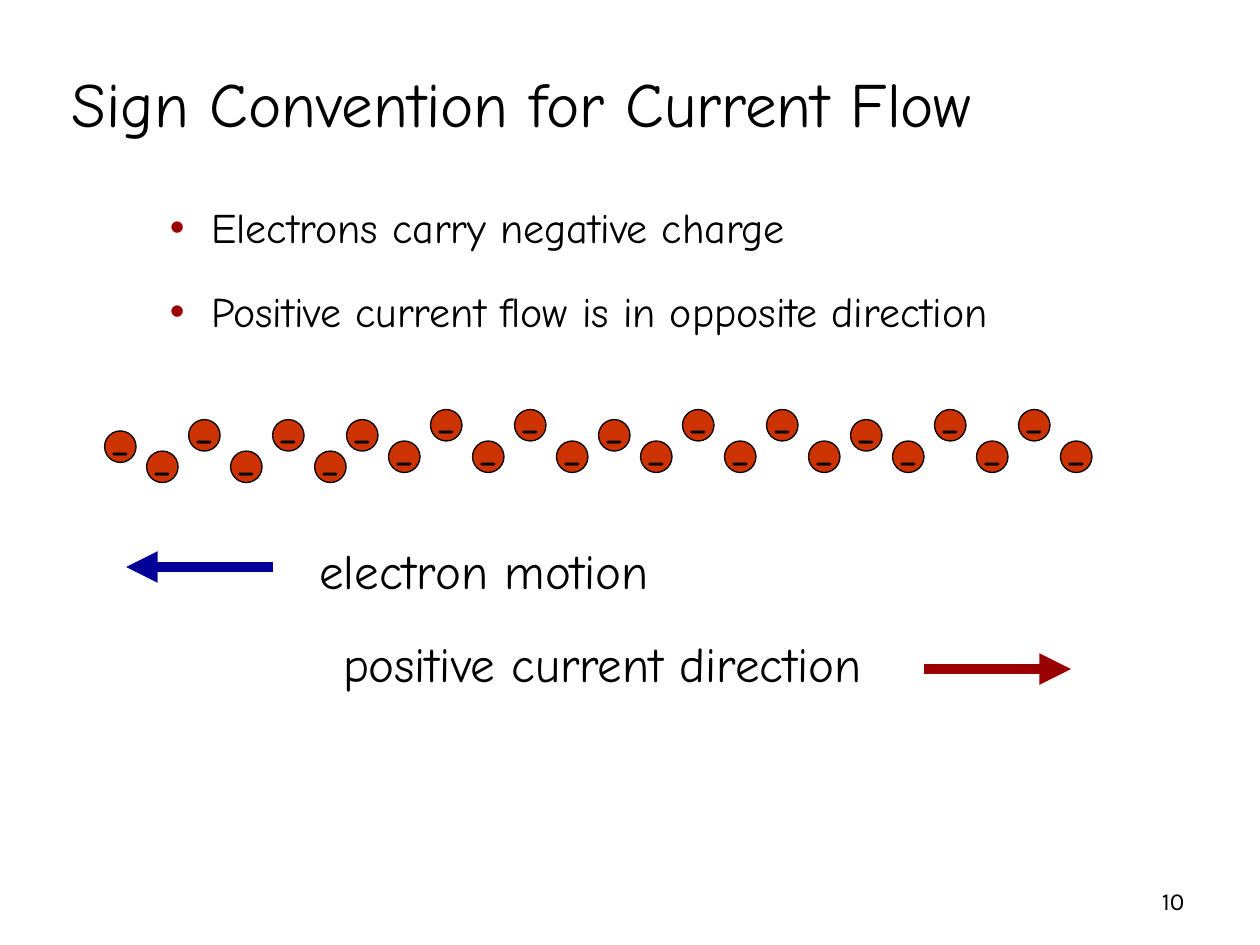
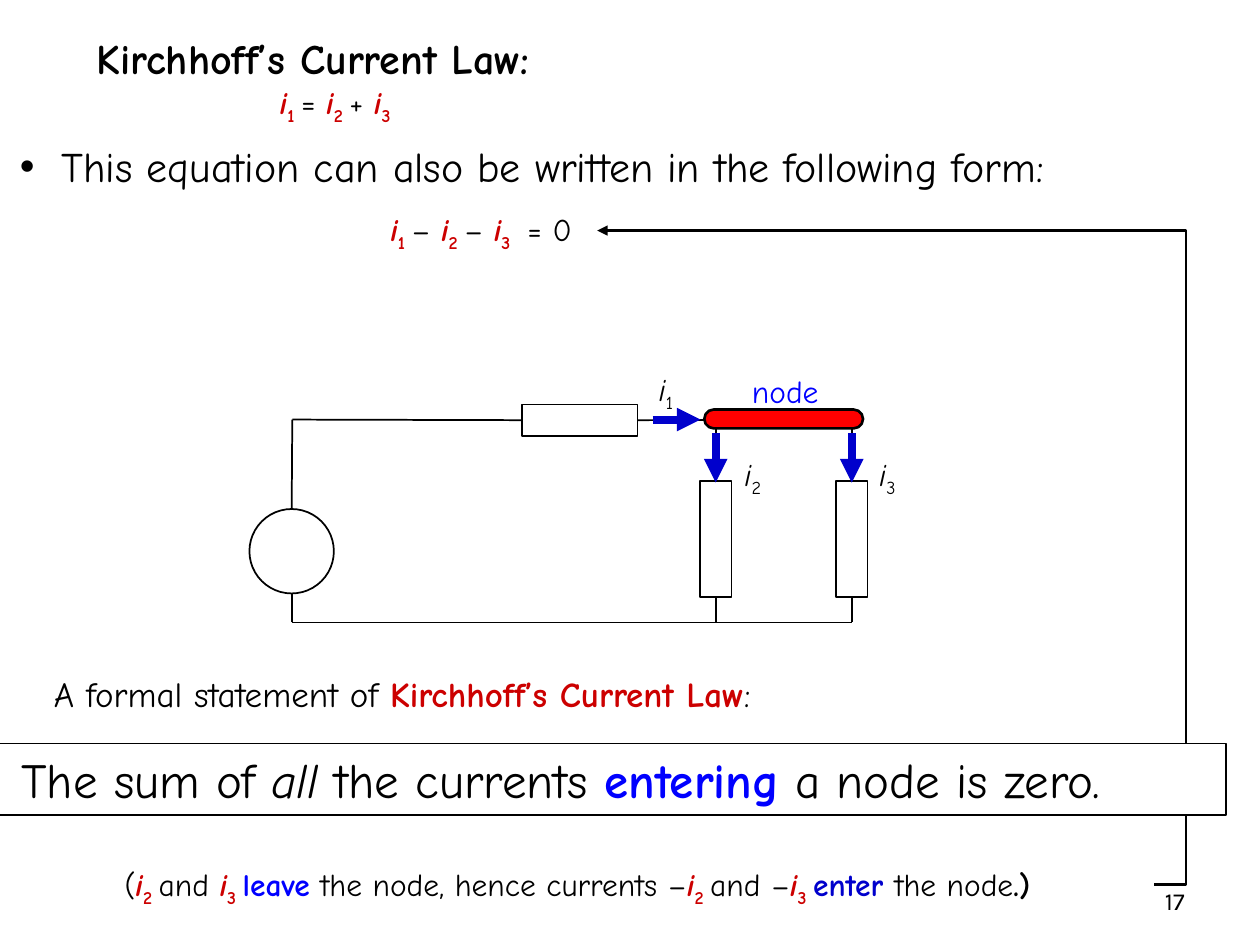
from itertools import chain

from lxml.etree import SubElement
from pptx import Presentation
from pptx.dml.color import RGBColor
from pptx.enum.shapes import MSO_CONNECTOR, MSO_SHAPE
from pptx.enum.text import MSO_ANCHOR, PP_ALIGN
from pptx.oxml.ns import qn
from pptx.util import Inches, Pt

# Shared look
COLORS = {
    "black": "000000",
    "white": "FFFFFF",
    "electron": "CC3300",
    "motion": "000099",
    "flow": "990000",
    "current": "CC0000",
    "node": "FF0000",
    "arrow": "0000CC",
    "emphasis": "0000FF",
}
BODY_FONT = "Comic Neue"
NUMBER_FONT = "Karla"
BULLET_INDENT = 0.33
TOP, LEFT, BOTTOM, RIGHT = range(4)


def rgb(name):
    return RGBColor.from_string(COLORS[name])


# Text
def span(text, color="black", bold=False, italic=False, subscript=False):
    return text, color, bold, italic, subscript


def current(index, after=" ", color="current", bold=True):
    """The symbol i with its subscript."""
    return [span("i", color, bold, italic=True),
            span(index + after, color, bold, subscript=True)]


def write(paragraph, spans, size, font=BODY_FONT, align=PP_ALIGN.LEFT):
    paragraph.alignment = align
    for text, color, bold, italic, subscript in spans:
        run = paragraph.add_run()
        run.text = text
        run.font.name, run.font.size = font, Pt(size)
        run.font.bold, run.font.italic = bold, italic
        run.font.color.rgb = rgb(color)
        if subscript:
            run.font._element.set("baseline", "-25000")


def add_text(page, left, top, width, height, spans, size,
             anchor=MSO_ANCHOR.TOP, **style):
    box = page.shapes.add_textbox(
        Inches(left), Inches(top), Inches(width), Inches(height))
    frame = box.text_frame
    frame.word_wrap = True
    frame.vertical_anchor = anchor
    write(frame.paragraphs[0], spans, size, **style)
    return box


def add_bullet(page, left, top, width, text, color):
    box = add_text(page, left, top, width, 0.5, [span(text)], 24)
    properties = box.text_frame.paragraphs[0]._p.get_or_add_pPr()
    properties.set("marL", str(Inches(BULLET_INDENT)))
    properties.set("indent", str(-Inches(BULLET_INDENT)))
    bullet_color = SubElement(properties, qn("a:buClr"))
    SubElement(bullet_color, qn("a:srgbClr"), val=COLORS[color])
    SubElement(properties, qn("a:buFont"), typeface="Arial")
    SubElement(properties, qn("a:buChar"), char="•")


def add_page(deck, number):
    page = deck.slides.add_slide(deck.slide_layouts[6])
    add_text(page, 7.17, 6.95, 2.33, 0.4, [span(number)], 14,
             anchor=MSO_ANCHOR.MIDDLE, font=NUMBER_FONT, align=PP_ALIGN.RIGHT)
    return page


# Shapes and lines
def add_figure(page, kind, left, top, width, height, fill="white", line=1):
    figure = page.shapes.add_shape(
        kind, Inches(left), Inches(top), Inches(width), Inches(height))
    figure.shadow.inherit = False
    figure.fill.solid()
    figure.fill.fore_color.rgb = rgb(fill)
    figure.line.color.rgb = rgb("black")
    figure.line.width = Pt(line)
    return figure


def add_line(page, start, end, color="black", width=1, arrow=False,
             kind=MSO_CONNECTOR.STRAIGHT):
    line = page.shapes.add_connector(
        kind, *(Inches(value) for value in (*start, *end)))
    line.line.color.rgb = rgb(color)
    line.line.width = Pt(width)
    if arrow:
        SubElement(line.line._get_or_add_ln(), qn("a:tailEnd"), type="triangle")
    SubElement(line._element.spPr, qn("a:effectLst"))
    return line


def add_electron(page, left, top):
    electron = add_figure(page, MSO_SHAPE.OVAL, left, top, 0.25, 0.25,
                          "electron", 0.75)
    frame = electron.text_frame
    frame.word_wrap = False
    frame.vertical_anchor = MSO_ANCHOR.MIDDLE
    write(frame.paragraphs[0], [span("-")], 28, align=PP_ALIGN.CENTER)


def add_circuit(page):
    top_rail, bottom_rail = 3.33, 4.94
    source_x, branch_xs = 2.32, (5.68, 6.76)

    # Source and series resistor
    source = add_figure(page, MSO_SHAPE.OVAL, 1.98, 4.04, 0.67, 0.67)
    series = add_figure(page, MSO_SHAPE.RECTANGLE, 4.14, 3.21, 0.92, 0.25)
    add_line(page, (source_x, top_rail), (source_x, 4.04)).end_connect(source, TOP)
    add_line(page, (source_x, bottom_rail), (source_x, 4.71))
    add_line(page, (source_x, top_rail), (4.14, top_rail)).end_connect(series, LEFT)
    add_line(page, (5.06, top_rail), (branch_xs[-1], top_rail)).begin_connect(
        series, RIGHT)
    add_line(page, (source_x, bottom_rail), (branch_xs[-1], bottom_rail))

    # Parallel branches
    for x in branch_xs:
        resistor = add_figure(page, MSO_SHAPE.RECTANGLE, x - 0.125, 3.82, 0.25, 0.92)
        add_line(page, (x, top_rail), (x, 3.82)).end_connect(resistor, TOP)
        add_line(page, (x, bottom_rail), (x, 4.74)).end_connect(resistor, BOTTOM)

    # Node
    node = add_figure(page, MSO_SHAPE.ROUNDED_RECTANGLE, 5.59, 3.25, 1.26, 0.15,
                      "node", 1.5)
    node.adjustments[0] = 0.5
    add_text(page, 5.87, 2.9, 0.76, 0.4, [span("node", "emphasis")], 18)

    # Current arrows with their labels
    arrows = [((5.18, top_rail), (5.56, top_rail))]
    arrows += [((x, 3.44), (x, 3.83)) for x in branch_xs]
    label_places = [(5.13, 2.89), (5.81, 3.56), (6.88, 3.56)]
    for index, ((start, end), place) in enumerate(zip(arrows, label_places), 1):
        add_line(page, start, end, "arrow", 4.5, arrow=True)
        add_text(page, *place, 0.4, 0.4,
                 current(str(index), "", "black", False), 18)


# Slides
def build_sign_convention(deck):
    page = add_page(deck, "10")
    add_text(page, 0.47, 0.46, 8.2, 0.7,
             [span("Sign Convention for Current Flow")], 36,
             anchor=MSO_ANCHOR.MIDDLE)
    add_bullet(page, 1.25, 1.55, 7.36, "Electrons carry negative charge", "flow")
    add_bullet(page, 1.25, 2.22, 7.36,
               "Positive current flow is in opposite direction", "flow")

    # Zigzag row of electrons
    lefts = chain((0.83 + i / 3 for i in range(6)), (2.75 + i / 3 for i in range(18)))
    tops = [3.42, 3.58] + [3.33, 3.58] * 2 + [3.33, 3.5, 3.25, 3.5, 3.25, 3.5] * 3
    for left, top in zip(lefts, tops):
        add_electron(page, left, top)

    # Directions
    add_line(page, (2.17, 4.5), (1, 4.5), "motion", 6, arrow=True)
    add_text(page, 2.28, 4.24, 3.12, 0.57, [span("electron motion")], 28,
             align=PP_ALIGN.CENTER)
    add_line(page, (7.33, 5.31), (8.5, 5.31), "flow", 6, arrow=True)
    add_text(page, 2.27, 4.98, 5.02, 0.57, [span("positive current direction")], 28,
             align=PP_ALIGN.CENTER)


def build_current_law(deck):
    page = add_page(deck, "17")

    # Heading and equations
    heading = add_text(page, 0.36, 0.21, 4.25, 0.81,
                       [span("Kirchhoff’s Current Law:", bold=True)], 24,
                       align=PP_ALIGN.CENTER)
    equation = heading.text_frame.add_paragraph()
    write(equation, [*current("1"), span("= "), *current("2"), span("+ "),
                     *current("3", "")], 18, align=PP_ALIGN.CENTER)
    equation._p.get_or_add_pPr().set("marL", str(Inches(0.35)))
    add_bullet(page, 0.06, 1.07, 9.52,
               "This equation can also be written in the following form:", "black")
    add_text(page, 3, 1.62, 1.74, 0.4,
             [*current("1"), span("– "), *current("2"), span("– "),
              *current("3"), span(" = 0")], 18)

    add_circuit(page)

    # Formal statement
    add_text(page, 0.33, 5.29, 6.58, 0.44,
             [span("A formal statement of "),
              span("Kirchhoff’s Current Law", "current", bold=True), span(":")], 20)
    add_text(page, 0.89, 6.82, 8.26, 0.4,
             [span("("), *current("2"), span("and "), *current("3"),
              span("leave", "emphasis", bold=True),
              span(" the node, hence currents –"), *current("2"),
              span("and –"), *current("3"),
              span("enter ", "arrow", bold=True), span("the node"),
              span(".)", bold=True)], 18)

    # Link from the remark back to the equation
    link = add_line(page, (9.16, 7.02), (4.74, 1.83), width=1.5, arrow=True,
                    kind=MSO_CONNECTOR.ELBOW)
    guides = link._element.spPr.find(qn("a:prstGeom")).get_or_add_avLst()
    SubElement(guides, qn("a:gd"), name="adj1", fmla="val -5700")

    # Law in its frame
    law = add_figure(page, MSO_SHAPE.RECTANGLE, -0.03, 5.9, 9.76, 0.57, line=0.75)
    frame = law.text_frame
    frame.margin_left = Inches(0.2)
    frame.vertical_anchor = MSO_ANCHOR.TOP
    write(frame.paragraphs[0],
          [span("The sum of "), span("all ", italic=True), span("the currents "),
           span("entering", "emphasis", bold=True), span(" a node is zero.")], 28)


def main():
    deck = Presentation()
    deck.slide_width, deck.slide_height = Inches(10), Inches(7.5)
    build_sign_convention(deck)
    build_current_law(deck)
    deck.save("out.pptx")


if __name__ == "__main__":
    main()
